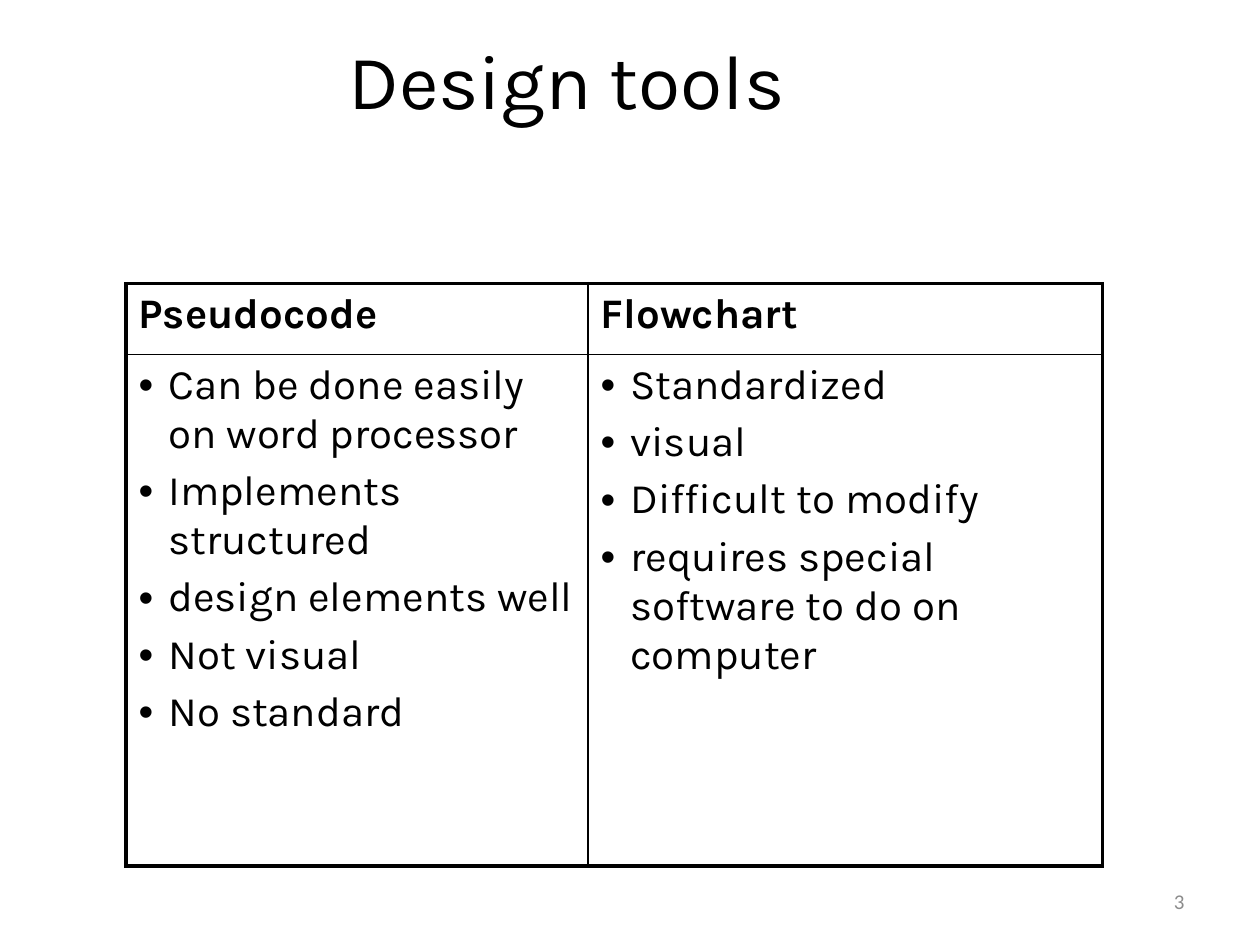
from pptx import Presentation
from pptx.util import Pt
from pptx.dml.color import RGBColor as RGB
from pptx.enum.text import PP_ALIGN as AL, MSO_ANCHOR as ANC
from lxml.etree import SubElement as Sub
from pptx.oxml.ns import qn

COLORS = {"ink": "000000", "page": "FFFFFF", "number": "8C8C8C"}
THICK, THIN = 2.25, 1


def style(para, size, face="Karla", color="ink", bold=False):
    for key, val in {"size": Pt(size), "name": face, "bold": bold}.items():
        setattr(para.font, key, val)
    para.font.color.rgb = RGB.from_string(COLORS[color])


def border(cell, side, width):
    line = Sub(cell._tc.get_or_add_tcPr(), qn(f"a:ln{side}"), w=str(Pt(width)))
    fill = Sub(line, qn("a:solidFill"))
    Sub(fill, qn("a:srgbClr"), val=COLORS["ink"])


deck = Presentation()
deck.slide_width, deck.slide_height = Pt(720), Pt(540)
slide = deck.slides.add_slide(deck.slide_layouts[6])
slide.background.fill.solid()
slide.background.fill.fore_color.rgb = RGB.from_string(COLORS["page"])

# Title and slide number
labels = [
    ("Design tools", (0, 0, 648, 90), AL.CENTER, 44, "Karla", "ink"),
    ("3", (516, 500.5, 168, 28.75), AL.RIGHT, 12, "Calibri", "number"),
]
for text, place, align, size, face, color in labels:
    frame = slide.shapes.add_textbox(*map(Pt, place)).text_frame
    frame.word_wrap = True
    frame.vertical_anchor = ANC.MIDDLE
    para = frame.paragraphs[0]
    para.text = text
    para.alignment = align
    style(para, size, face, color)

# Comparison table
tools = {
    "Pseudocode": [
        "Can be done easily on word processor",
        "Implements structured",
        "design elements well",
        "Not visual",
        "No standard",
    ],
    "Flowchart": [
        "Standardized",
        "visual",
        "Difficult to modify",
        "requires special software to do on computer",
    ],
}
widths, heights = [264, 294], [40.5, 292.5]
table = slide.shapes.add_table(
    2, 2, Pt(72), Pt(162), Pt(sum(widths)), Pt(sum(heights))).table
table.first_row = table.horz_banding = False
for col, width in zip(table.columns, widths):
    col.width = Pt(width)
for row, height in zip(table.rows, heights):
    row.height = Pt(height)

for c, (head, points) in enumerate(tools.items()):
    for r, lines in enumerate([[head], points]):
        cell = table.cell(r, c)

        # Thick outer frame, thin inner rules
        outer = {"L": c == 0, "R": c == 1, "T": r == 0, "B": r == 1}
        for side, edge in outer.items():
            border(cell, side, THICK if edge else THIN)
        cell.fill.background()

        # Bold heading above a bulleted list
        frame = cell.text_frame
        for i, text in enumerate(lines):
            para = frame.add_paragraph() if i else frame.paragraphs[0]
            para.text = text
            if i:
                para.space_before = Pt(4.8)
            if r:
                props = para._p.get_or_add_pPr()
                props.set("marL", str(Pt(17)))
                props.set("indent", str(Pt(-17)))
                Sub(props, qn("a:buFont"), typeface="Arial")
                Sub(props, qn("a:buChar"), char="•")
            style(para, 24, bold=r == 0)

deck.save("out.pptx")
